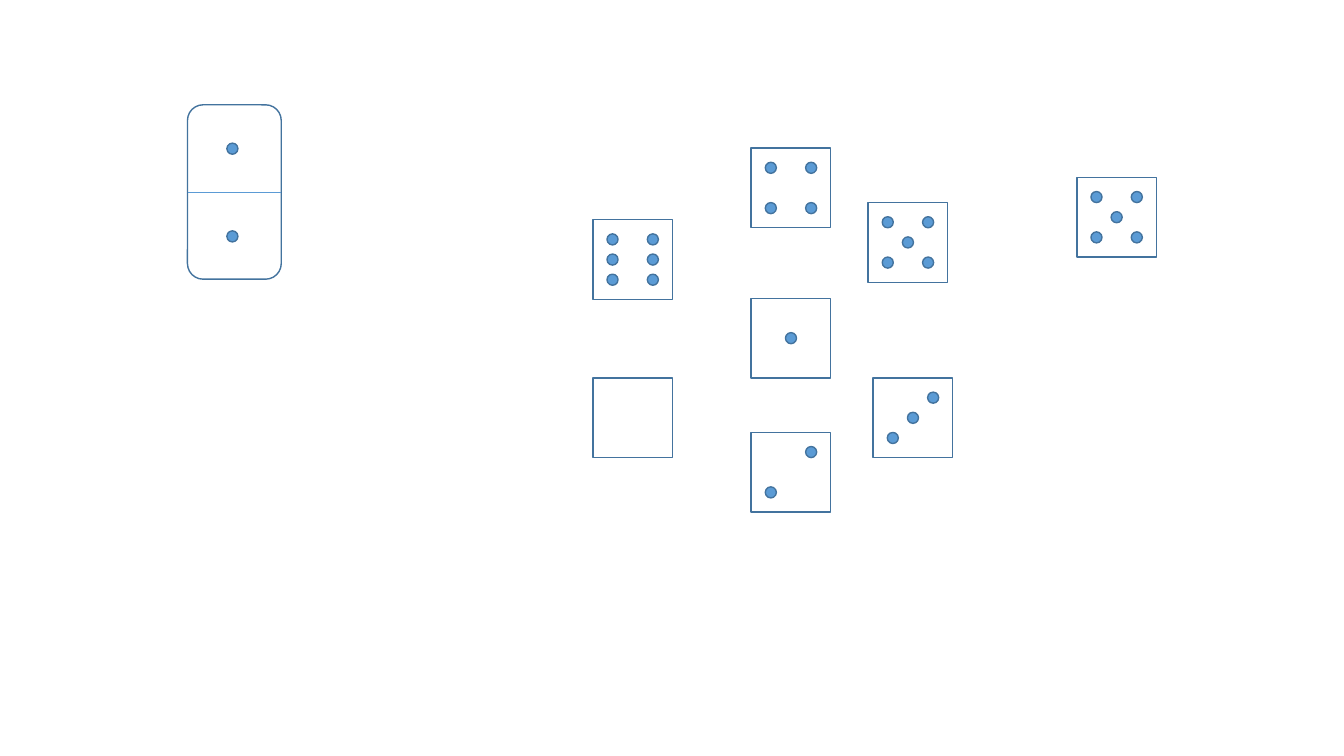
from lxml.etree import SubElement
from pptx import Presentation
from pptx.dml.color import RGBColor
from pptx.enum.shapes import MSO_CONNECTOR as Connector, MSO_SHAPE as Shape
from pptx.oxml.ns import qn
from pptx.util import Emu, Pt

COLORS = {"pip": "5B9BD5", "outline": "43739E", "divider": "5B9BD5"}
DIE, PIP, STEP = 79, 11, 20
FACES = {
    0: [],
    1: [(0, 0)],
    2: [(1, -1), (-1, 1)],
    3: [(0, 0), (1, -1), (-1, 1)],
    4: [(1, -1), (-1, 1), (-1, -1), (1, 1)],
    5: [(0, 0), (1, -1), (-1, 1), (-1, -1), (1, 1)],
    6: [(1, -1), (-1, 1), (-1, -1), (1, 1), (1, 0), (-1, 0)],
}
DICE = [
    (0, 588, 375),
    (1, 745, 296),
    (3, 866, 375),
    (5, 861, 201),
    (4, 745, 147),
    (2, 745, 429),
    (5, 1068, 176),
    (6, 588, 218),
]


def px(length):
    return Emu(length * 9144)


def color(name):
    return RGBColor.from_string(COLORS[name])


class Board:
    def __init__(self, page):
        self.shapes = page.shapes
        self.line_width = Pt(1)

    def outline(self, kind, left, top, width, height, fill=None, parent=None):
        shapes = parent.shapes if parent is not None else self.shapes
        shape = shapes.add_shape(kind, px(left), px(top), px(width), px(height))
        shape.shadow.inherit = False
        if fill:
            shape.fill.solid()
            shape.fill.fore_color.rgb = color(fill)
        else:
            shape.fill.background()
        shape.line.color.rgb = color("outline")
        shape.line.width = self.line_width

    def divider(self, parent, left, right, top):
        line = parent.shapes.add_connector(
            Connector.STRAIGHT, px(left), px(top), px(right), px(top))
        line.line.color.rgb = color("divider")
        line.line.width = self.line_width
        SubElement(line._element.spPr, qn("a:effectLst"))

    def pip(self, left, top):
        self.outline(Shape.OVAL, left, top, PIP, PIP, "pip")

    def die(self, value, left, top):
        self.outline(Shape.RECTANGLE, left, top, DIE, DIE)
        middle = (DIE - PIP) // 2
        for column, row in FACES[value]:
            self.pip(left + middle + column * STEP, top + middle + row * STEP)

    def domino(self, left, top, width, height):
        group = self.shapes.add_group_shape()
        self.outline(Shape.ROUNDED_RECTANGLE, left, top, width, height, parent=group)
        half = height // 2
        self.divider(group, left, left + width, top + half + 1)
        for row in range(2):
            self.pip(left + 39, top + 38 + row * (half + 1))


def main():
    deck = Presentation()
    deck.slide_width, deck.slide_height = px(1333), px(750)
    board = Board(deck.slides.add_slide(deck.slide_layouts[6]))
    board.domino(186, 104, 93, 173)
    for value, left, top in DICE:
        board.die(value, left, top)
    deck.save("out.pptx")


if __name__ == "__main__":
    main()
